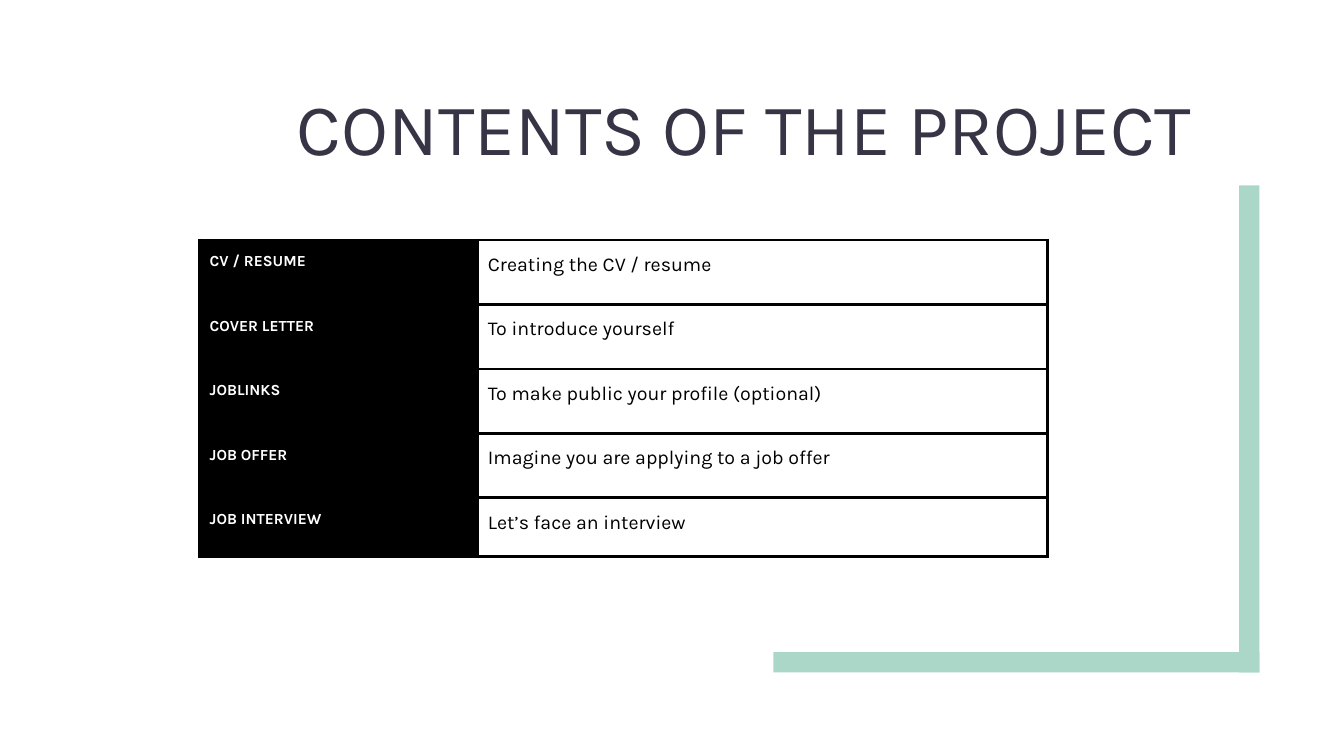
from lxml import etree
from pptx import Presentation
from pptx.dml.color import RGBColor
from pptx.enum.shapes import MSO_SHAPE
from pptx.enum.text import MSO_ANCHOR, PP_ALIGN
from pptx.oxml.ns import qn
from pptx.util import Inches, Pt

RECTANGLE = MSO_SHAPE.RECTANGLE
BOTTOM = MSO_ANCHOR.BOTTOM
TOP = MSO_ANCHOR.TOP
RIGHT = PP_ALIGN.RIGHT
LEFT = PP_ALIGN.LEFT

FONT = "Karla"
BLACK, WHITE, INK, MINT = "000000", "FFFFFF", "373545", "ABD7C9"
BAR = 0.2
BORDER_POINTS = 2.25
TITLE_FORMAT = {"name": FONT, "size": Pt(52), "bold": False}
LABEL_FORMAT = {"name": FONT, "size": Pt(11), "bold": True}
DETAIL_FORMAT = {"name": FONT, "size": Pt(14), "bold": False}
COLUMN_WIDTHS = [2.76, 5.65]
ROW_HEIGHTS = [0.64, 0.64, 0.64, 0.64, 0.58]
CONTENTS = [
    ("CV / RESUME", "Creating the CV / resume"),
    ("COVER LETTER", "To introduce yourself"),
    ("JOBLINKS", "To make public your profile (optional)"),
    ("JOB OFFER", "Imagine you are applying to a job offer"),
    ("JOB INTERVIEW", "Let’s face an interview"),
]


def color(value):
    """Turn a hex string into a colour."""
    return RGBColor.from_string(value)


def set_values(target, values):
    """Set each named attribute of the target."""
    for name, value in values.items():
        setattr(target, name, value)


def write(frame, text, font_values, ink, para_values):
    """Write one formatted paragraph into a text frame."""
    para = frame.paragraphs[0]
    set_values(para, para_values)
    span = para.add_run()
    span.text = text
    set_values(span.font, font_values)
    span.font.color.rgb = color(ink)


def add_title(page, left, top, width, height):
    """Place the right-aligned page title."""
    title = page.shapes.title
    set_values(title, {"left": Inches(left), "top": Inches(top),
                       "width": Inches(width), "height": Inches(height)})
    frame = title.text_frame
    set_values(frame, {"word_wrap": True, "vertical_anchor": BOTTOM,
                       "margin_left": Inches(0.1), "margin_right": Inches(0.1),
                       "margin_top": Inches(0.05), "margin_bottom": Inches(0.05)})
    write(frame, "CONTENTS OF THE PROJECT", TITLE_FORMAT, INK,
          {"alignment": RIGHT, "line_spacing": 0.89})


def add_corner(page, left, top, width, height):
    """Draw two bars along the right and bottom sides of the box."""
    bars = [(left + width - BAR, top, BAR, height),
            (left, top + height - BAR, width, BAR)]
    for box in bars:
        bar = page.shapes.add_shape(RECTANGLE, *map(Inches, box))
        bar.shadow.inherit = False
        bar.fill.solid()
        bar.fill.fore_color.rgb = color(MINT)
        bar.line.fill.background()


def add_borders(cell):
    """Give a cell black borders on all four sides."""
    properties = cell._tc.get_or_add_tcPr()
    for index, side in enumerate(("a:lnL", "a:lnR", "a:lnT", "a:lnB")):
        line = etree.Element(qn(side), w=str(Pt(BORDER_POINTS)))
        fill = etree.SubElement(line, qn("a:solidFill"))
        etree.SubElement(fill, qn("a:srgbClr"), val=BLACK)
        properties.insert(index, line)


def fill_cell(cell, text, font_values, ink):
    """Write and frame one table cell."""
    margins = ("margin_left", "margin_right", "margin_top", "margin_bottom")
    set_values(cell, dict.fromkeys(margins, Inches(0.1)))
    cell.vertical_anchor = TOP
    write(cell.text_frame, text, font_values, ink,
          {"alignment": LEFT, "line_spacing": 1.15})
    add_borders(cell)


def add_contents(page, left, top):
    """Build the table of project parts."""
    box = (left, top, sum(COLUMN_WIDTHS), sum(ROW_HEIGHTS))
    table = page.shapes.add_table(len(CONTENTS), len(COLUMN_WIDTHS),
                                  *map(Inches, box)).table
    set_values(table, {"first_row": False, "horz_banding": False})
    for column, width in zip(table.columns, COLUMN_WIDTHS):
        column.width = Inches(width)
    for row, height, (label, detail) in zip(table.rows, ROW_HEIGHTS, CONTENTS):
        row.height = Inches(height)
        label_cell, detail_cell = row.cells
        label_cell.fill.solid()
        label_cell.fill.fore_color.rgb = color(BLACK)
        detail_cell.fill.background()
        fill_cell(label_cell, label, LABEL_FORMAT, WHITE)
        fill_cell(detail_cell, detail, DETAIL_FORMAT, BLACK)


def main():
    """Build and save the deck."""
    deck = Presentation()
    deck.slide_width, deck.slide_height = Inches(13.33), Inches(7.5)
    page = deck.slides.add_slide(deck.slide_layouts[5])
    page.background.fill.solid()
    page.background.fill.fore_color.rgb = color(WHITE)
    add_corner(page, 7.67, 1.84, 4.82, 4.83)
    add_title(page, 1.41, 0.68, 10.51, 1.07)
    add_contents(page, 1.98, 2.38)
    deck.save("out.pptx")


if __name__ == "__main__":
    main()
